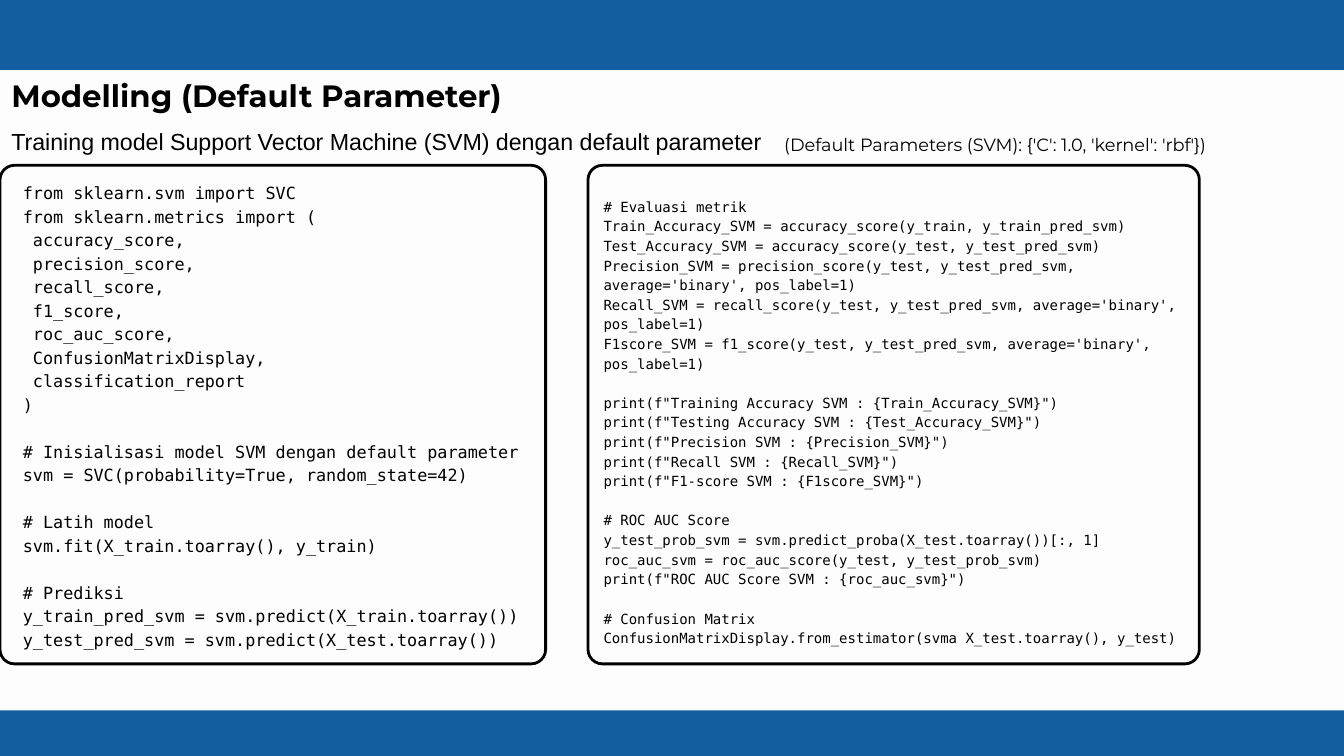
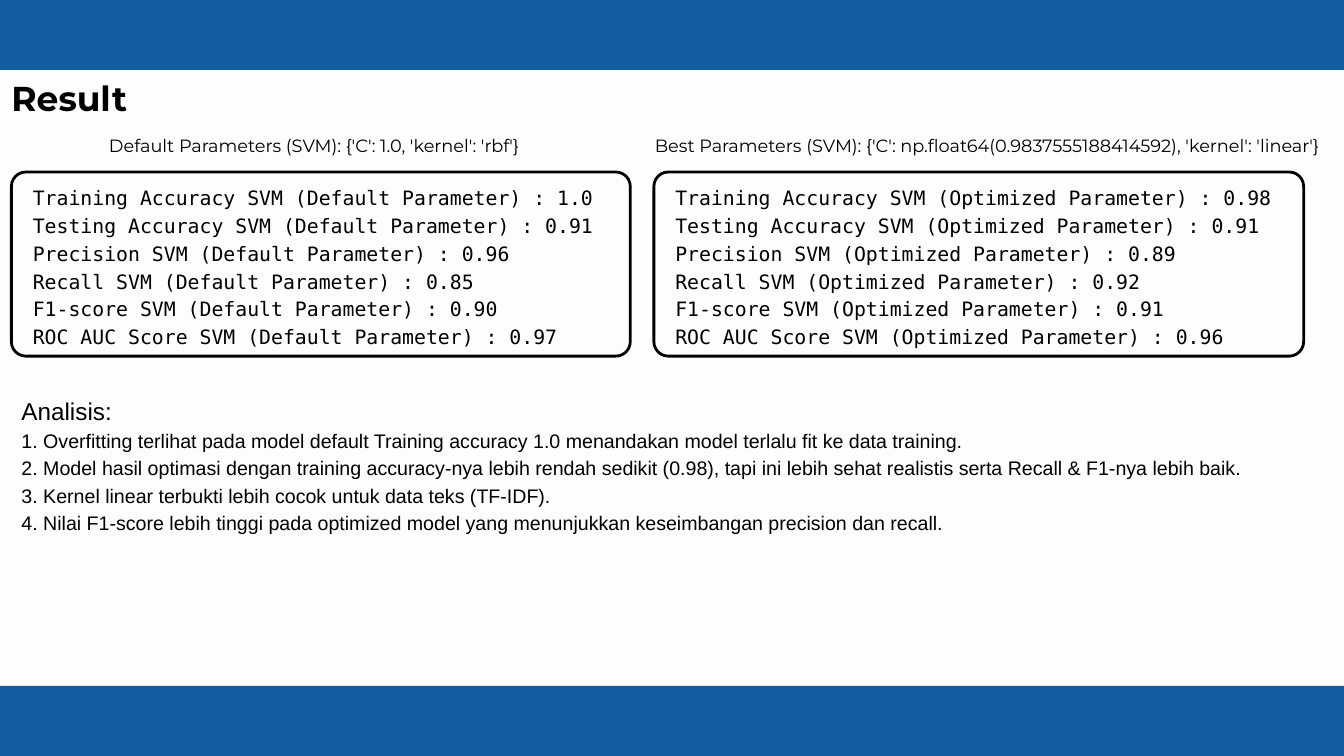
from pptx import Presentation
from pptx.dml.color import RGBColor
from pptx.enum.shapes import MSO_SHAPE
from pptx.enum.text import MSO_ANCHOR, MSO_AUTO_SIZE, PP_ALIGN
from pptx.oxml.ns import qn
from pptx.util import Pt

RECTANGLE = MSO_SHAPE.RECTANGLE
ROUNDED = MSO_SHAPE.ROUNDED_RECTANGLE
TOP = MSO_ANCHOR.TOP
NO_FIT = MSO_AUTO_SIZE.NONE
LEFT, CENTER = PP_ALIGN.LEFT, PP_ALIGN.CENTER

WIDTH, HEIGHT = 1440, 810
BAND_HEIGHT = 75
MARGIN = 12.2
CORNER = 15.5
PAPER, BLUE, BLACK = "FDFDFD", "145DA0", "000000"
HEADING, BODY, MONO = "Montserrat", "Arial", "DejaVu Sans Mono"
TITLE_ONLY, TITLE_AND_CONTENT = 5, 1

TRAINING_CODE = [
    """from sklearn.svm import SVC
from sklearn.metrics import (
 accuracy_score,
 precision_score,
 recall_score,
 f1_score,
 roc_auc_score,
 ConfusionMatrixDisplay,
 classification_report
)""",
    """# Inisialisasi model SVM dengan default parameter
svm = SVC(probability=True, random_state=42)""",
    """# Latih model
svm.fit(X_train.toarray(), y_train)""",
    """# Prediksi
y_train_pred_svm = svm.predict(X_train.toarray())
y_test_pred_svm = svm.predict(X_test.toarray())""",
]

EVALUATION_CODE = [
    """# Evaluasi metrik
Train_Accuracy_SVM = accuracy_score(y_train, y_train_pred_svm)
Test_Accuracy_SVM = accuracy_score(y_test, y_test_pred_svm)
Precision_SVM = precision_score(y_test, y_test_pred_svm, average='binary', pos_label=1)
Recall_SVM = recall_score(y_test, y_test_pred_svm, average='binary', pos_label=1)
F1score_SVM = f1_score(y_test, y_test_pred_svm, average='binary', pos_label=1)""",
    """print(f"Training Accuracy SVM : {Train_Accuracy_SVM}")
print(f"Testing Accuracy SVM : {Test_Accuracy_SVM}")
print(f"Precision SVM : {Precision_SVM}")
print(f"Recall SVM : {Recall_SVM}")
print(f"F1-score SVM : {F1score_SVM}")""",
    """# ROC AUC Score
y_test_prob_svm = svm.predict_proba(X_test.toarray())[:, 1]
roc_auc_svm = roc_auc_score(y_test, y_test_prob_svm)
print(f"ROC AUC Score SVM : {roc_auc_svm}")""",
    """# Confusion Matrix
ConfusionMatrixDisplay.from_estimator(svma X_test.toarray(), y_test)""",
]

METRICS = ["Training Accuracy", "Testing Accuracy", "Precision", "Recall",
           "F1-score", "ROC AUC Score"]
RESULTS = {
    "Default": ["1.0", "0.91", "0.96", "0.85", "0.90", "0.97"],
    "Optimized": ["0.98", "0.91", "0.89", "0.92", "0.91", "0.96"],
}
ANALYSIS = [
    "Analisis:",
    "1. Overfitting terlihat pada model default Training accuracy 1.0 menandakan model terlalu fit ke data training.",
    "2. Model hasil optimasi dengan training accuracy-nya lebih rendah sedikit (0.98), tapi ini lebih sehat realistis serta Recall & F1-nya lebih baik.",
    "3. Kernel linear terbukti lebih cocok untuk data teks (TF-IDF).",
    "4. Nilai F1-score lebih tinggi pada optimized model yang menunjukkan keseimbangan precision dan recall.",
]


def color(value):
    return RGBColor.from_string(value)


class Deck:
    def __init__(self):
        self.prs = Presentation()
        self.prs.slide_width, self.prs.slide_height = Pt(WIDTH), Pt(HEIGHT)
        fill = self.prs.slide_master.background.fill
        fill.solid()
        fill.fore_color.rgb = color(PAPER)

    def slide(self, layout, title, size, bottom):
        self.s = self.prs.slides.add_slide(self.prs.slide_layouts[layout])
        self.band(0, BAND_HEIGHT)
        self.band(bottom, HEIGHT - bottom)
        sp = self.place(self.s.shapes.title, MARGIN, 75.6, 767.5, size * 1.4)
        sp.text_frame.text = title
        self.style(sp.text_frame.paragraphs[0], size, HEADING, bold=True)

    def shape(self, kind, x, y, w, h):
        sp = self.s.shapes.add_shape(kind, Pt(x), Pt(y), Pt(w), Pt(h))
        sp.shadow.inherit = False
        return sp

    def band(self, y, h):
        sp = self.shape(RECTANGLE, 0, y, WIDTH, h)
        sp.fill.solid()
        sp.fill.fore_color.rgb = color(BLUE)
        sp.line.fill.background()

    def frame(self, x, y, w, h):
        sp = self.shape(ROUNDED, x, y, w, h)
        sp.adjustments[0] = CORNER / min(w, h)
        sp.fill.background()
        sp.line.color.rgb = color(BLACK)
        sp.line.width = Pt(3)

    def place(self, sp, x, y, w, h):
        sp.left, sp.top, sp.width, sp.height = Pt(x), Pt(y), Pt(w), Pt(h)
        tf = sp.text_frame
        tf.word_wrap = True
        tf.auto_size = NO_FIT
        tf.vertical_anchor = TOP
        tf.margin_left = tf.margin_top = tf.margin_right = tf.margin_bottom = 0
        return sp

    def style(self, p, size, font, bold=False, align=LEFT, before=0):
        p.alignment = align
        p.line_spacing = Pt(round(size * 1.4, 1))
        p.space_before = Pt(before)
        for r in p.runs:
            r.font.name, r.font.size, r.font.bold = font, Pt(size), bold
            r.font.color.rgb = color(BLACK)

    def text(self, blocks, x, y, w, h, size, font, align=LEFT):
        sp = self.place(self.s.shapes.add_textbox(0, 0, 0, 0), x, y, w, h)
        tf = sp.text_frame
        tf.text = "\n".join(blocks)
        paragraphs = iter(tf.paragraphs)
        for b, block in enumerate(blocks):
            for i, _ in enumerate(block.split("\n")):
                gap = size * 1.4 if b and not i else 0
                self.style(next(paragraphs), size, font, align=align, before=gap)

    def caption(self, text, x, y, w):
        self.text([text], x, y, w, 25.2, 19, HEADING, CENTER)

    def body(self, lines, x, y, w, h, sizes):
        sp = self.place(self.s.placeholders[1], x, y, w, h)
        sp.text_frame.text = "\n".join(lines)
        for p, size in zip(sp.text_frame.paragraphs, sizes):
            pPr = p._p.get_or_add_pPr()
            pPr.set("marL", "0")
            pPr.set("indent", "0")
            pPr.append(pPr.makeelement(qn("a:buNone"), {}))
            self.style(p, size, BODY)


def modelling(deck):
    deck.slide(TITLE_ONLY, "Modelling (Default Parameter)", 33, 761)
    deck.text(["Training model Support Vector Machine (SVM) dengan default parameter"],
              MARGIN, 131, 1370, 36.7, 24.9, BODY)
    deck.caption("(Default Parameters (SVM): {'C': 1.0, 'kernel': 'rbf'})", 839.5, 139, 453.6)
    for x, w in ((0, 584.6), (630, 655)):
        deck.frame(x, 177.1, w, 534.2)
    deck.text(TRAINING_CODE, 24.5, 192.2, 712.8, 519, 18, MONO)
    deck.text(EVALUATION_CODE, 646.6, 209.5, 622.8, 485.3, 15, MONO)


def result(deck):
    deck.slide(TITLE_AND_CONTENT, "Result", 37, 735)
    deck.caption("Default Parameters (SVM): {'C': 1.0, 'kernel': 'rbf'}", 115.9, 140.4, 441.4)
    deck.caption("Best Parameters (SVM): {'C': np.float64(0.9837555188414592), 'kernel': 'linear'}",
                 700.6, 140.4, 714.2)
    columns = ((MARGIN, 663.1), (700.6, 696.2))
    for (x, w), (name, values) in zip(columns, RESULTS.items()):
        deck.frame(x, 184.3, w, 197.3)
        lines = [f"{metric} SVM ({name} Parameter) : {value}"
                 for metric, value in zip(METRICS, values)]
        deck.text(["\n".join(lines)], x + 23, 195.1, w - 46, 172.8, 21.2, MONO)
    deck.body(ANALYSIS, 23, 419, 1335.6, 156.2, [26] + [21] * 4)


def main():
    deck = Deck()
    modelling(deck)
    result(deck)
    deck.prs.save("out.pptx")


if __name__ == "__main__":
    main()
